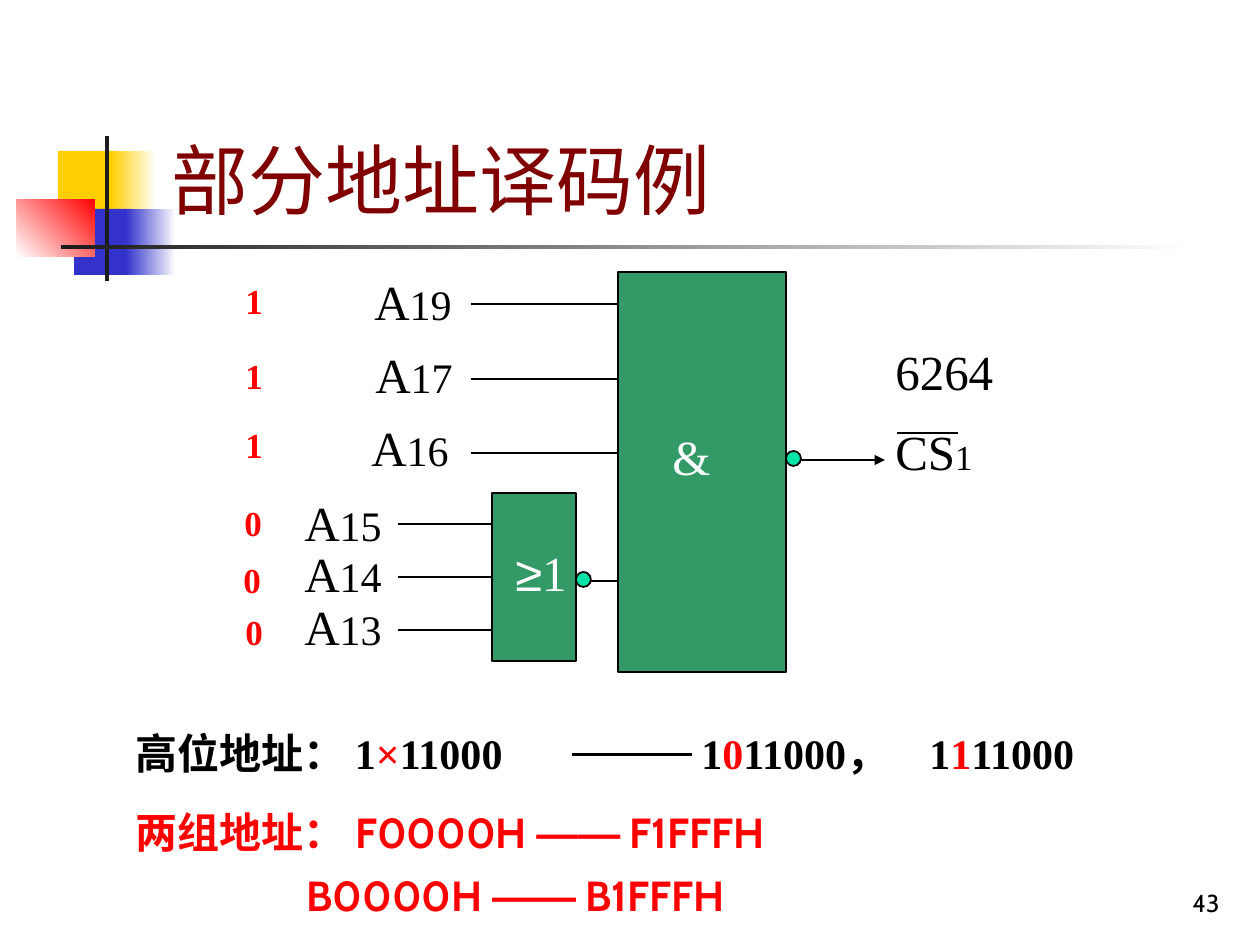
from dataclasses import dataclass

from lxml import etree
from pptx import Presentation
from pptx.dml.color import RGBColor
from pptx.enum.shapes import MSO_CONNECTOR, MSO_SHAPE
from pptx.enum.text import MSO_ANCHOR, MSO_AUTO_SIZE, PP_ALIGN
from pptx.oxml.ns import qn
from pptx.util import Pt

RECTANGLE = MSO_SHAPE.RECTANGLE
OVAL = MSO_SHAPE.OVAL
STRAIGHT = MSO_CONNECTOR.STRAIGHT
TOP, BOTTOM = MSO_ANCHOR.TOP, MSO_ANCHOR.BOTTOM
LEFT, RIGHT = PP_ALIGN.LEFT, PP_ALIGN.RIGHT
FIXED_SIZE = MSO_AUTO_SIZE.NONE
LEFT_SIDE = 1
EMU_PER_PX = 914400 / 126


@dataclass(frozen=True)
class Theme:
    ink: str = "000000"
    white: str = "FFFFFF"
    red: str = "FF0000"
    maroon: str = "800000"
    yellow: str = "FFCF01"
    blue: str = "3333CC"
    charcoal: str = "1C1C1C"
    gate: str = "339966"
    bubble: str = "00E4A8"
    sans: str = "Cabin"
    symbol: str = "Arial"
    serif: str = "Times New Roman"
    title_size: int = 44
    label_size: int = 28
    text_size: int = 24
    bit_size: int = 20
    number_size: int = 14


THEME = Theme()


def px(value):
    return round(value * EMU_PER_PX)


def rgb(color):
    return RGBColor.from_string(color)


def add_runs(para, runs, size, face=THEME.serif, color=THEME.ink, bold=False):
    for text, changes in runs:
        span = para.add_run()
        span.text = text
        font = span.font
        font.size = Pt(changes.get("size", size))
        font.name = changes.get("face", face)
        font.color.rgb = rgb(changes.get("color", color))
        font.bold = bold


def set_indent(para, margin, first_line):
    properties = para._p.get_or_add_pPr()
    properties.set("marL", str(px(margin)))
    properties.set("indent", str(px(first_line)))


def add_text(page, bounds, runs, size, anchor=TOP, align=LEFT, **style):
    box = page.shapes.add_textbox(*map(px, bounds))
    frame = box.text_frame
    frame.word_wrap = True
    frame.vertical_anchor = anchor
    para = frame.paragraphs[0]
    para.alignment = align
    add_runs(para, runs, size, **style)
    return frame


def add_block(page, kind, bounds, color, outlined=False):
    block = page.shapes.add_shape(kind, *map(px, bounds))
    block.shadow.inherit = False
    block.fill.solid()
    block.fill.fore_color.rgb = rgb(color)
    if outlined:
        block.line.color.rgb = rgb(THEME.ink)
        block.line.width = Pt(1)
    else:
        block.line.fill.background()
    return block


def add_fade(page, bounds, start, end, angle=0):
    fill = add_block(page, RECTANGLE, bounds, start).fill
    fill.gradient()
    fill.gradient_angle = angle
    for stop, color, position in zip(fill.gradient_stops, (start, end), (0, 1)):
        stop.color.rgb = rgb(color)
        stop.position = position


def add_wire(page, start, end, y, width=1, arrow=False):
    wire = page.shapes.add_connector(STRAIGHT, px(start), px(y), px(end), px(y))
    wire.line.color.rgb = rgb(THEME.ink)
    wire.line.width = Pt(width)
    if arrow:
        etree.SubElement(wire.line._get_or_add_ln(), qn("a:tailEnd"), type="triangle")
    etree.SubElement(wire._element.spPr, qn("a:effectLst"))
    return wire


def place(holder, bounds, anchor):
    holder.left, holder.top, holder.width, holder.height = map(px, bounds)
    frame = holder.text_frame
    frame.auto_size = FIXED_SIZE
    frame.word_wrap = True
    frame.vertical_anchor = anchor
    return frame


def add_ornament(page):
    add_block(page, RECTANGLE, (58, 151, 60, 66), THEME.yellow)
    add_fade(page, (111, 151, 45, 66), THEME.yellow, THEME.white)
    add_block(page, RECTANGLE, (74, 209, 58, 66), THEME.blue)
    add_fade(page, (126, 209, 50, 66), THEME.blue, THEME.white)
    add_fade(page, (17, 199, 78, 58), THEME.white, THEME.red, angle=45)
    add_block(page, RECTANGLE, (105, 136, 4, 145), THEME.charcoal)
    add_fade(page, (61, 245, 1134, 4), THEME.charcoal, THEME.white)


def fill_title(page):
    frame = place(page.shapes.title, (159, 29, 1074, 202), BOTTOM)
    para = frame.paragraphs[0]
    para.alignment = LEFT
    add_runs(para, [("部分地址译码例", {})], THEME.title_size, THEME.sans, THEME.maroon)


def fill_ranges(page):
    frame = place(page.placeholders[1], (123, 800, 912, 129), TOP)
    dash = ("——", {"face": THEME.symbol})
    rows = [
        ("两组地址： F0000H ", " F1FFFH", 48, -48, 0),
        ("B0000H ", " B1FFFH", 171, 0, 6),
    ]
    for index, (first, last, margin, first_line, before) in enumerate(rows):
        para = frame.add_paragraph() if index else frame.paragraphs[0]
        set_indent(para, margin, first_line)
        etree.SubElement(para._p.get_or_add_pPr(), qn("a:buNone"))
        para.line_spacing = 1.0
        para.space_before = Pt(before)
        para.space_after = Pt(1.5)
        add_runs(para, [(first, {}), dash, (last, {})],
                 THEME.text_size, THEME.sans, THEME.red, bold=True)


def add_inputs(page, or_gate):
    inputs = [
        ("19", "1", 362, 265, 233, 273, 304),
        ("17", "1", 363, 338, 233, 348, 379),
        ("16", "1", 359, 411, 233, 417, 453),
        ("15", "0", 292, 486, 232, 495, 524),
        ("14", "0", 292, 537, 231, 552, 577),
        ("13", "0", 292, 590, 233, 604, 630),
    ]
    for number, bit, left, top, bit_left, bit_top, y in inputs:
        start, end = (471, 618) if bit == "1" else (398, 492)
        wire = add_wire(page, start, end, y)
        if number == "14":
            wire.end_connect(or_gate, LEFT_SIDE)
        add_text(page, (left, top, 126, 72),
                 [("A", {}), (number, {"size": THEME.text_size})], THEME.label_size)
        add_text(page, (bit_left, bit_top, 49, 55), [(bit, {})],
                 THEME.bit_size, color=THEME.red, bold=True)


def add_decoder(page):
    add_block(page, RECTANGLE, (618, 272, 168, 400), THEME.gate, outlined=True)
    or_gate = add_block(page, RECTANGLE, (492, 493, 84, 168), THEME.gate, outlined=True)
    add_inputs(page, or_gate)
    add_wire(page, 582, 618, 581)
    add_wire(page, 800, 885, 460, arrow=True)
    for left, top in ((576, 572), (786, 451)):
        add_block(page, OVAL, (left, top, 15, 15), THEME.bubble, outlined=True)
    add_text(page, (660, 420, 95, 72), [("&", {})], THEME.label_size, color=THEME.white)
    add_text(page, (503, 536, 95, 72), [("≥", {"face": THEME.symbol}), ("1", {})],
             THEME.label_size, color=THEME.white)
    chip = add_text(page, (883, 335, 126, 152), [("6264", {})], THEME.label_size)
    select = chip.add_paragraph()
    select.space_before = Pt(12.5)
    add_runs(select, [("CS", {}), ("1", {"size": THEME.bit_size})], THEME.label_size)
    add_wire(page, 897, 958, 433)


def add_high_address(page):
    red = {"color": THEME.red}
    groups = [
        ((123, 721, 466, 79), "高位地址： 1", "×", "11000"),
        ((689, 721, 258, 63), "1", "0", "11000，"),
        ((917, 721, 307, 63), "1", "1", "11000"),
    ]
    for bounds, before, marked, after in groups:
        add_text(page, bounds, [(before, {}), (marked, red), (after, {})],
                 THEME.text_size, bold=True)
    add_wire(page, 572, 692, 755, width=1.75)


def main():
    deck = Presentation()
    deck.slide_width, deck.slide_height = px(1260), px(945)
    page = deck.slides.add_slide(deck.slide_layouts[1])
    add_ornament(page)
    fill_title(page)
    fill_ranges(page)
    add_decoder(page)
    add_high_address(page)
    add_text(page, (970, 861, 262, 63), [("43", {})], THEME.number_size,
             anchor=BOTTOM, align=RIGHT, face=THEME.sans)
    deck.save("out.pptx")


if __name__ == "__main__":
    main()
